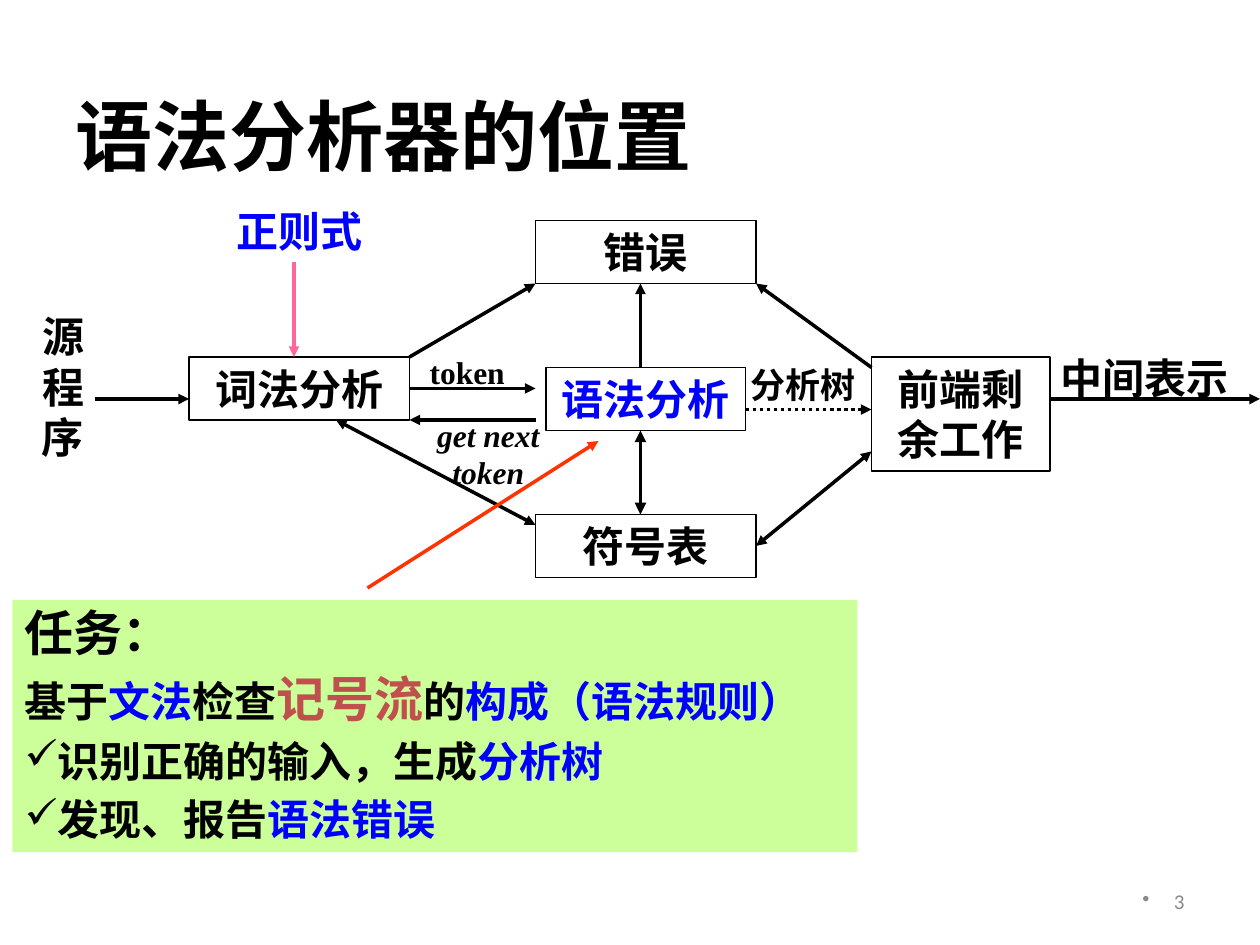
from lxml import etree
from pptx import Presentation, util as u
from pptx.dml.color import RGBColor
from pptx.enum import dml, shapes, text
from pptx.oxml.ns import qn

Pt = u.Pt
BLACK, BLUE, RED, GREY = "000000", "0000FF", "C0504D", "898989"
LEFT, CENTER, RIGHT = text.PP_ALIGN.LEFT, text.PP_ALIGN.CENTER, text.PP_ALIGN.RIGHT
TOP, MIDDLE = text.MSO_ANCHOR.TOP, text.MSO_ANCHOR.MIDDLE


def rgb(value):
    return RGBColor.from_string(value)


def add_bullet(p, char, color, hang=0):
    pPr = p._p.get_or_add_pPr()
    pPr.set("marL", str(Pt(hang)))
    pPr.set("indent", str(-Pt(hang)))
    clr = etree.SubElement(pPr, qn("a:buClr"))
    etree.SubElement(clr, qn("a:srgbClr"), val=color)
    etree.SubElement(pPr, qn("a:buChar"), char=char)


def add_run(p, content, size=24, color=BLACK, font="Times New Roman", bold=True, italic=False):
    r = p.add_run()
    r.text = content
    f = r.font
    f.size, f.bold, f.italic, f.name = Pt(size), bold, italic, font
    f.color.rgb = rgb(color)
    latin = r._r.rPr.find(qn("a:latin"))
    latin.addnext(etree.Element(qn("a:ea"), typeface="Noto Sans CJK SC"))


class Diagram:
    """Draws on one slide; every length is in points."""

    def __init__(self, slide, line_width=2):
        self.s = slide
        self.line_width = line_width

    def frame(self, sp, align=CENTER, anchor=TOP):
        """Set up the text frame of a shape and return its first paragraph."""
        tf = sp.text_frame
        tf.word_wrap = True
        tf.auto_size = text.MSO_AUTO_SIZE.NONE
        tf.vertical_anchor = anchor
        tf.paragraphs[0].alignment = align
        return tf.paragraphs[0]

    def label(self, content, x, y, w, h, align=CENTER, anchor=TOP, bullet=None, **style):
        sp = self.s.shapes.add_textbox(Pt(x), Pt(y), Pt(w), Pt(h))
        p = self.frame(sp, align, anchor)
        if bullet:
            add_bullet(p, bullet, style["color"], hang=18)
        add_run(p, content, **style)

    def rect(self, x, y, w, h, fill=None, line=None):
        sp = self.s.shapes.add_shape(shapes.MSO_SHAPE.RECTANGLE, Pt(x), Pt(y), Pt(w), Pt(h))
        sp.shadow.inherit = False
        for part, color in ((sp.fill, fill), (sp.line.fill, line)):
            if color:
                part.solid()
                part.fore_color.rgb = rgb(color)
            else:
                part.background()
        return sp

    def box(self, content, x, y, w=126, h=36, **style):
        sp = self.rect(x, y, w, h, line=BLACK)
        sp.line.width = Pt(1)
        add_run(self.frame(sp), content, **style)
        return sp

    def panel(self, rows, x, y, w, h, fill):
        """Filled rectangle; each row is (bullet, runs), each run (text, size, colour)."""
        sp = self.rect(x, y, w, h, fill=fill)
        p = self.frame(sp, LEFT)
        for i, (bullet, runs) in enumerate(rows):
            if i:
                p = sp.text_frame.add_paragraph()
                p.alignment = LEFT
                p.space_before = Pt(6)
            p.line_spacing = 0.95
            if bullet:
                add_bullet(p, bullet, BLACK)
            for content, size, color in runs:
                add_run(p, content, size, color)

    def arrow(self, x1, y1, x2, y2, color=BLACK, width=None, both=False, dash=None, start=None):
        """start is (shape, side) when the line leaves the middle of a side."""
        c = self.s.shapes.add_connector(
            shapes.MSO_CONNECTOR.STRAIGHT, Pt(x1), Pt(y1), Pt(x2), Pt(y2))
        if start:
            c.begin_connect(*start)
        c.line.color.rgb = rgb(color)
        c.line.width = Pt(width or self.line_width)
        if dash:
            c.line.dash_style = dash
        ln = c.line._get_or_add_ln()
        for end in ("a:headEnd", "a:tailEnd") if both else ("a:tailEnd",):
            etree.SubElement(ln, qn(end), type="triangle")
        etree.SubElement(c._element.spPr, qn("a:effectLst"))


def main():
    prs = Presentation()
    prs.slide_width, prs.slide_height = Pt(720), Pt(540)
    d = Diagram(prs.slides.add_slide(prs.slide_layouts[6]))

    d.label("语法分析器的位置", 36, 42, 425.5, 70, LEFT, MIDDLE, size=44, font="Noto Sans CJK SC")
    d.label("中间表示", 588, 198, 132, 36)

    d.box("错误", 306, 126)
    lexer = d.box("词法分析", 108, 204)
    d.box("语法分析", 312, 210, w=114, color=BLUE)
    d.box("前端剩余工作", 498, 204, w=102, h=65)
    symbols = d.box("符号表", 306, 294)

    d.arrow(234, 222, 306, 222, start=(lexer, 3))
    d.arrow(306, 240, 234, 240)
    d.arrow(366, 210, 366, 162)
    d.arrow(234, 204, 306, 162)
    d.arrow(498, 210, 432, 162)
    d.arrow(600, 228, 720, 228)
    d.arrow(426, 234, 498, 234, dash=dml.MSO_LINE.ROUND_DOT)
    d.arrow(192, 240, 306, 300, both=True)
    d.arrow(432, 312, 498, 258, both=True, start=(symbols, 3))
    d.arrow(54, 228, 108, 228)

    d.label("源程序", 12, 174, 48, 94)
    d.label("分析树", 420, 204, 78, 32, size=20)
    d.label("get next token", 222, 234, 114, 50, size=18, italic=True)
    d.label("token", 228, 198, 78, 29, size=18)
    d.label("正则式", 66, 114, 210, 36, color=BLUE)
    d.arrow(168, 150, 168, 204, color="FF6699")

    tasks = [
        (None, [("任务：", 28, BLACK)]),
        (None, [("基于", 24, BLACK), ("文法", 24, BLUE), ("检查", 24, BLACK),
                ("记号流", 28, RED), ("的", 24, BLACK), ("构成（语法规则）", 24, BLUE)]),
        ("✓", [("识别正确的输入，生成", 24, BLACK), ("分析树", 24, BLUE)]),
        ("✓", [("发现、报告", 24, BLACK), ("语法错误", 24, BLUE)]),
    ]
    d.panel(tasks, 7, 343, 483, 144, fill="CCFF99")
    d.arrow(210, 336, 342, 252, color="FF3300")
    d.arrow(366, 246, 366, 294, width=2.25, both=True)

    d.label("3", 516, 500.5, 168, 29, RIGHT, MIDDLE, bullet="•",
            size=12, color=GREY, font="Calibri", bold=False)
    prs.save("out.pptx")


if __name__ == "__main__":
    main()
